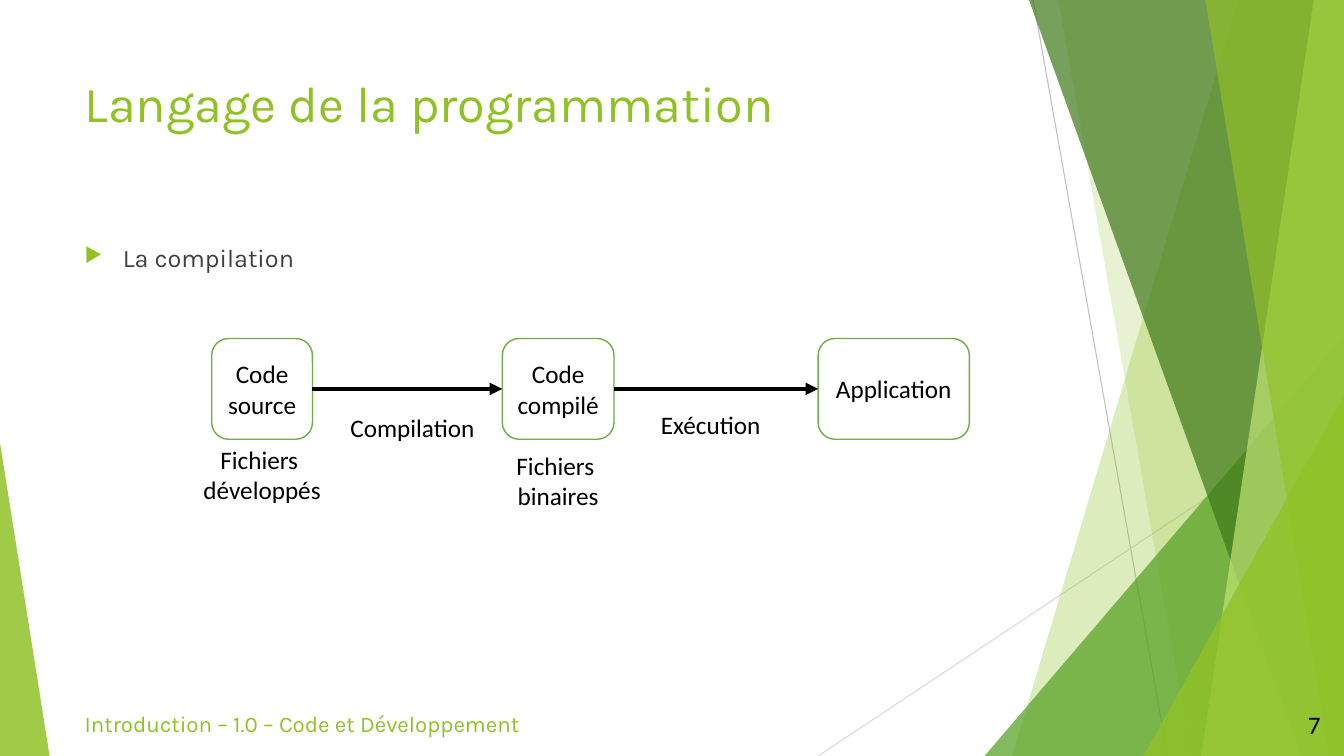
from lxml.etree import SubElement
from pptx import Presentation
from pptx.dml.color import RGBColor
from pptx.enum.shapes import MSO_CONNECTOR, MSO_SHAPE
from pptx.enum.text import MSO_ANCHOR, MSO_AUTO_SIZE, PP_ALIGN
from pptx.oxml.ns import qn
from pptx.util import Inches, Pt

COLS, ROWS = 160, 90
LIME, BLACK = "90C226", "000000"
LEFT, CENTER, RIGHT = PP_ALIGN.LEFT, PP_ALIGN.CENTER, PP_ALIGN.RIGHT


def color(code):
    return RGBColor.from_string(code)


class Canvas:
    """Draws styled elements on one slide, measured in grid columns and rows."""

    def __init__(self, deck):
        self.slide = deck.slides.add_slide(deck.slide_layouts[6])
        self.shapes = self.slide.shapes
        self.col = deck.slide_width / COLS
        self.row = deck.slide_height / ROWS

    def place(self, *cells):
        units = (self.col, self.row) * 2
        return [round(cell * unit) for cell, unit in zip(cells, units)]

    def letter(self, frame, lines, size=18, font="Calibri", ink=BLACK, align=CENTER):
        for i, line in enumerate(lines):
            para = frame.paragraphs[0] if i == 0 else frame.add_paragraph()
            para.alignment = align
            run = para.add_run()
            run.text = line
            run.font.size = Pt(size)
            run.font.name = font
            run.font.color.rgb = color(ink)

    def text(self, cells, lines, wrap=True, anchor=MSO_ANCHOR.TOP, **style):
        frame = self.shapes.add_textbox(*self.place(*cells)).text_frame
        frame.word_wrap = wrap
        frame.auto_size = MSO_AUTO_SIZE.NONE if wrap else MSO_AUTO_SIZE.SHAPE_TO_FIT_TEXT
        frame.vertical_anchor = anchor
        self.letter(frame, lines, **style)
        return frame

    def bullet(self, cells, line, **style):
        para = self.text(cells, [line], align=LEFT, **style).paragraphs[0]
        props = para._p.get_or_add_pPr()
        indent = Inches(0.38)
        props.set("marL", str(indent))
        props.set("indent", str(-indent))
        tint = SubElement(props, qn("a:buClr"))
        SubElement(tint, qn("a:srgbClr"), val=LIME)
        SubElement(props, qn("a:buSzPct"), val="80000")
        SubElement(props, qn("a:buChar"), char="▶")

    def facet(self, points, fill, alpha):
        start, *rest = [self.place(*point) for point in points]
        pen = self.shapes.build_freeform(*start)
        pen.add_line_segments(rest)
        shape = pen.convert_to_shape()
        shape.shadow.inherit = False
        shape.line.fill.background()
        shape.fill.solid()
        shape.fill.fore_color.rgb = color(fill)
        tint = shape._element.spPr.find(qn("a:solidFill"))[0]
        SubElement(tint, qn("a:alpha"), val=str(alpha * 1000))

    def box(self, cells, label):
        shape = self.shapes.add_shape(MSO_SHAPE.ROUNDED_RECTANGLE, *self.place(*cells))
        shape.shadow.inherit = False
        shape.fill.solid()
        shape.fill.fore_color.rgb = color("FFFFFF")
        shape.line.color.rgb = color("70AD47")
        shape.line.width = Pt(1)
        frame = shape.text_frame
        frame.word_wrap = True
        frame.vertical_anchor = MSO_ANCHOR.MIDDLE
        frame.margin_left = frame.margin_right = Inches(0.05)
        self.letter(frame, [label])
        return shape

    def line(self, cells, ink, width):
        link = self.shapes.add_connector(MSO_CONNECTOR.STRAIGHT, *self.place(*cells))
        link.line.color.rgb = color(ink)
        link.line.width = Pt(width)
        SubElement(link._element.spPr, qn("a:effectLst"))
        return link

    def arrow(self, source, target):
        link = self.line((0, 0, 0, 0), BLACK, 3)
        link.begin_connect(source, 3)
        link.end_connect(target, 1)
        stroke = link._element.spPr.find(qn("a:ln"))
        SubElement(stroke, qn("a:tailEnd"), type="triangle")


def band(top, base):
    return [(top, 0), (COLS, 0), (COLS, ROWS), (base, ROWS)]


def wedge(base, top):
    return [(base, ROWS), (COLS, top), (COLS, ROWS)]


def main():
    deck = Presentation()
    deck.slide_width, deck.slide_height = Inches(13.33), Inches(7.5)
    page = Canvas(deck)

    page.line((123, 0, 139, ROWS), "BFBFBF", 0.75)
    page.line((COLS, 48.4, 97.4, ROWS), "D9D9D9", 0.75)
    facets = [
        (band(147.4, 120.5), LIME, 30),
        (band(126, 141.8), LIME, 20),
        (wedge(117.2, 40), "54A021", 72),
        (band(122.5, 154.9), "3F7819", 70),
        (band(156.4, 143), "C0E474", 70),
        (band(143.5, 158.2), LIME, 65),
        (wedge(136.1, 47.2), LIME, 80),
        ([(0, ROWS), (0, 52.7), (5.9, ROWS)], LIME, 85),
    ]
    for facet in facets:
        page.facet(*facet)

    edge, foot = 8.9, 83.9
    page.text((edge, 8, 112.8, 17.3), ["Langage de la programmation"],
              size=36, font="Karla", ink=LIME, align=LEFT)
    page.bullet((edge, 28.3, 112.8, 7), "La compilation", font="Karla", ink="404040")
    page.text((149.4, foot, 9, 4.8), ["7"], anchor=MSO_ANCHOR.MIDDLE, align=RIGHT)

    steps = [(25.2, 12, "Code source"), (59.8, 13.3, "Code compilé"),
             (97.4, 18, "Application")]
    boxes = [page.box((left, 40.3, width, 12), label) for left, width, label in steps]
    for source, target in zip(boxes, boxes[1:]):
        page.arrow(source, target)

    labels = [
        ((22.9, 52.3, 16.6, 8.5), ["Fichiers ", "développés"]),
        ((60.2, 53, 12.5, 8.5), ["Fichiers ", "binaires"]),
        ((77.4, 48.2, 14.4, 4.8), ["Exécution"]),
        ((40.4, 48.5, 17.4, 4.8), ["Compilation"]),
    ]
    for cells, lines in labels:
        page.text(cells, lines, wrap=False)

    page.text((edge, foot, 78.6, 4.8), ["Introduction – 1.0 – Code et Développement"],
              size=16, font="Karla", ink=LIME, align=LEFT)
    deck.save("out.pptx")


if __name__ == "__main__":
    main()
